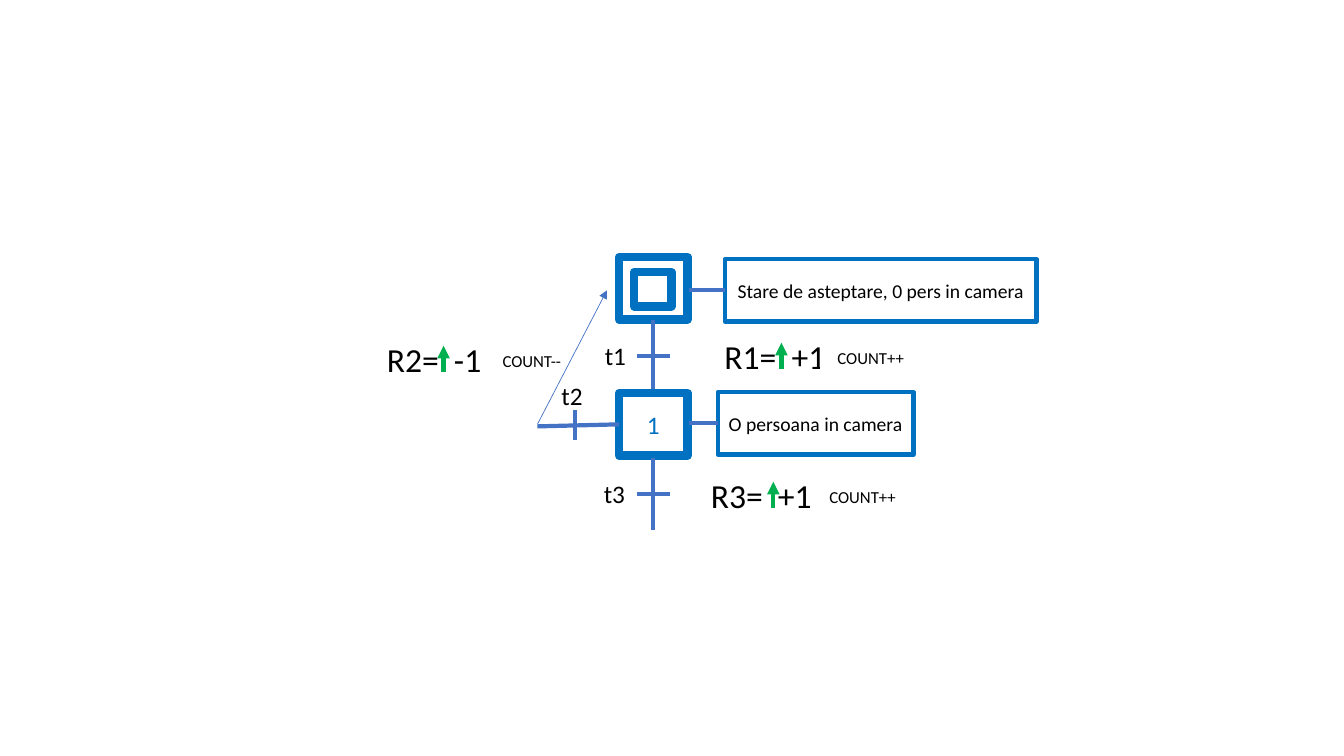
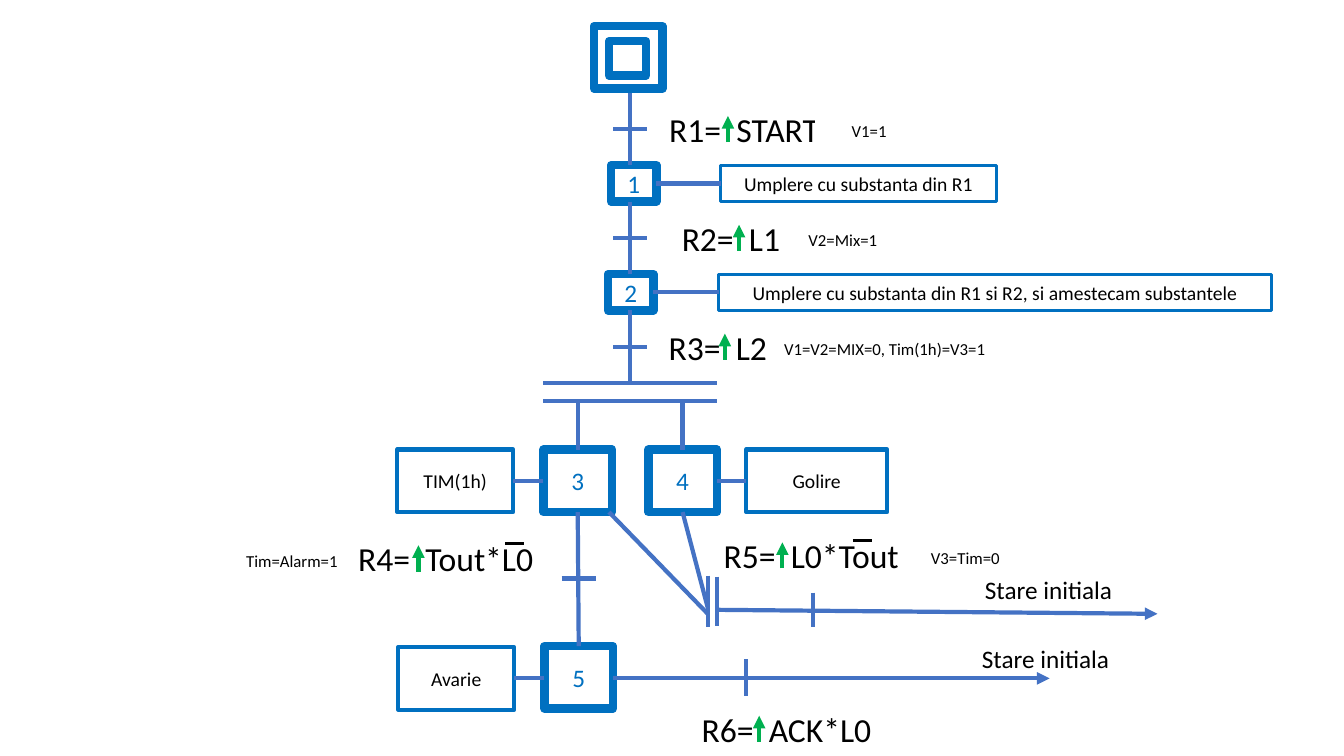
from dataclasses import dataclass
from typing import Any

from lxml import etree
from pptx import Presentation
from pptx.dml.color import RGBColor
from pptx.enum import shapes, text
from pptx.oxml import ns
from pptx.util import Inches, Pt

FONT = "Calibri"
BLUE, STEEL, GREEN, BLACK, WHITE = "0070C0", "4472C4", "00B050", "000000", "FFFFFF"
STEP_WIDTH, STEP_HEIGHT = 0.68, 0.62
STEM, TICK = 0.72, 0.33
GAP_SPACING = "540"


def color(value):
    """Turn a hex string into a colour."""
    return RGBColor.from_string(value)


def write(shape, parts, size=18, ink=BLACK, align=text.PP_ALIGN.CENTER,
          anchor=text.MSO_ANCHOR.MIDDLE, wrap=True):
    """Write one paragraph; several parts are joined by one widened space."""
    frame = shape.text_frame
    frame.word_wrap = wrap
    frame.vertical_anchor = anchor
    para = frame.paragraphs[0]
    para.alignment = align
    for index, part in enumerate(parts):
        if index:
            gap = add_span(para, " ", size, ink)
            gap._r.get_or_add_rPr().set("spc", GAP_SPACING)
        add_span(para, part, size, ink)


def add_span(para, words, size, ink):
    """Add one formatted run and return it."""
    span = para.add_run()
    span.text = words
    span.font.name = FONT
    span.font.size = Pt(size)
    span.font.color.rgb = color(ink)
    return span


@dataclass
class Region:
    """Part of a chart whose lengths are inches from its own corner."""
    page: Any
    left: float
    top: float

    def line(self, start, end, ink=STEEL, weight=3, arrow=False):
        """Draw a straight line, with an arrowhead at its end if asked."""
        (x1, y1), (x2, y2) = start, end
        link = self.page.shapes.add_connector(
            shapes.MSO_CONNECTOR.STRAIGHT,
            Inches(self.left + x1), Inches(self.top + y1),
            Inches(self.left + x2), Inches(self.top + y2))
        link.line.color.rgb = color(ink)
        link.line.width = Pt(weight)
        if arrow:
            head = etree.SubElement(link.line._get_or_add_ln(), ns.qn("a:tailEnd"))
            head.set("type", "triangle")
        etree.SubElement(link._element.spPr, ns.qn("a:effectLst"))

    def block(self, box, parts=(), edge=BLUE, weight=3, **style):
        """Draw a white rectangle with optional text."""
        x, y, width, height = box
        shape = self.page.shapes.add_shape(
            shapes.MSO_SHAPE.RECTANGLE, Inches(self.left + x),
            Inches(self.top + y), Inches(width), Inches(height))
        shape.shadow.inherit = False
        shape.fill.solid()
        shape.fill.fore_color.rgb = color(WHITE)
        shape.line.color.rgb = color(edge)
        shape.line.width = Pt(weight)
        write(shape, parts, **style)

    def label(self, x, y, words, width=0.41):
        """Place a plain text label."""
        box = self.page.shapes.add_textbox(
            Inches(self.left + x), Inches(self.top + y), Inches(width), Inches(0.4))
        write(box, [words], align=text.PP_ALIGN.LEFT,
              anchor=text.MSO_ANCHOR.TOP, wrap=False)

    def step(self, x, y, number, width=STEP_WIDTH, height=STEP_HEIGHT):
        """Draw a numbered step."""
        self.block((x, y, width, height), [number], weight=6, ink=BLUE)

    def initial_step(self):
        """Draw the double square of the initial step in the corner."""
        self.block((0, 0, STEP_WIDTH, STEP_HEIGHT), weight=6)
        self.block((0.15, 0.15, 0.37, 0.34), weight=6)

    def action(self, box, words, step_edge, weight=3):
        """Draw an action box and link its near side to the step edge."""
        x, y, width, height = box
        side = x if x > step_edge else x + width
        middle = y + height / 2
        self.block(box, [words], weight=weight, size=14)
        self.line((step_edge, middle), (side, middle))

    def stem(self, axis, y):
        """Draw a vertical link crossed by a transition tick."""
        middle = y + STEM / 2
        self.line((axis, y), (axis, y + STEM))
        self.line((axis - TICK / 2, middle), (axis + TICK / 2, middle))

    def condition(self, box, parts, arrow, note=None, bar=None):
        """Write a condition with its rising edge, note and negation bar."""
        x, y, width = box
        self.block((x, y, width, 0.4), parts, edge=WHITE, weight=1, size=24)
        self.line((x + arrow, y + 0.33), (x + arrow, y + 0.07), GREEN, arrow=True)
        if note:
            words, shift, note_width = note
            self.block((x + shift, y + 0.02, note_width, 0.4), [words],
                       edge=WHITE, weight=1, size=12)
        if bar:
            self.line((x + bar, y + 0.05), (x + bar + 0.19, y + 0.05), BLACK, 2.25)


def room_counter(page, left, top):
    """Draw the chart that counts the people in a room."""
    region = Region(page, left, top)
    region.initial_step()
    region.condition((0.67, 0.78, 1.75), ["R1=", "+1"], 0.94, ("COUNT++", 1.33, 0.99))
    region.condition((-2.54, 0.81, 1.41), ["R2=", "-1"], 0.8, ("COUNT--", 1.18, 0.99))
    region.condition((0.5, 2.16, 1.82), ["R3=", "+1"], 1.03, ("COUNT++", 1.42, 0.99))
    region.stem(0.34, 0.62)
    region.step(0, 1.35, "1")
    region.stem(0.34, 1.99)
    region.action((1.05, 0.02, 3.09, STEP_HEIGHT),
                  "Stare de asteptare, 0 pers in camera", 0.69)
    region.action((0.98, 1.34, 1.94, STEP_HEIGHT), "O persoana in camera", 0.69)
    region.label(-0.24, 0.78, "t1")
    region.label(-0.67, 1.17, "t2")
    region.label(-0.25, 2.15, "t3")
    region.line((0, 1.66), (-0.81, 1.68))
    region.line((-0.44, 1.52), (-0.44, 1.82))
    region.line((-0.81, 1.66), (-0.12, 0.33), weight=0.5, arrow=True)


def filling(page, left, top):
    """Draw the sequence from the initial step to the end of mixing."""
    region = Region(page, left, top)
    region.initial_step()
    pitch, width, height = 1.08, 0.45, 0.36
    conditions = [
        (0.53, 1.92, ["R1=", "START"], 0.8, ("V1=1", 1.67, 1.06)),
        (0.66, 1.4, ["R2=", "L1"], 0.78, ("V2=Mix=1", 1.26, 1.1)),
        (0.53, 1.4, ["R3=", "L2"], 0.77, ("V1=V2=MIX=0, Tim(1h)=V3=1", 1.25, 2.21)),
    ]
    steps = [
        (0.17, 1.26, 2.73, "Umplere cu substanta din R1"),
        (0.14, 1.24, 5.48, "Umplere cu substanta din R1 si R2, si amestecam substantele"),
    ]
    for index, (x, span, parts, arrow, note) in enumerate(conditions):
        region.condition((x, 0.82 + index * pitch, span), parts, arrow, note)
    for index, (x, action_x, span, words) in enumerate(steps):
        y = 1.38 + index * pitch
        region.step(x, y, str(index + 1), width, height)
        region.action((action_x, y, span, height), words, x + width, 2.25)
    for index in range(len(conditions)):
        region.stem(0.36, 0.66 + index * pitch)


def parallel_steps(page, left, top):
    """Draw the double bar with the two steps that run together."""
    region = Region(page, left, top)
    step_top, fork, shift = 0.66, 0.18, 1.04
    for y in (0, fork):
        region.line((0, y), (1.72, y))
    for index, number in enumerate("34"):
        x = index * shift
        region.step(x, step_top, number)
        axis = x + STEP_WIDTH / 2
        region.line((axis, fork), (axis, step_top))
    region.action((-1.45, step_top, 1.15, STEP_HEIGHT), "TIM(1h)", 0)
    region.action((2.01, step_top, 1.4, STEP_HEIGHT), "Golire", shift + STEP_WIDTH)


def merge(page, left, top):
    """Draw the joined branches that return to the initial state."""
    region = Region(page, left, top)
    region.condition((0.22, 0.23, 2.11), ["R5=", "L0*Tout"], 0.77,
                     ("V3=Tim=0", 1.92, 1.33), bar=1.47)
    region.line((0, 0), (0.25, 0.95))
    region.line((-0.73, 0), (0.25, 1.01))
    for x, start, end in ((0.25, 0.63, 1.14), (0.34, 0.64, 1.13), (1.29, 0.8, 1.14)):
        region.line((x, start), (x, end))
    region.line((0.36, 0.97), (4.71, 1.01), arrow=True)
    region.label(2.9, 0.57, "Stare initiala", 1.48)


def alarm(page, left, top):
    """Draw the timeout branch with its fault step and reset."""
    region = Region(page, left, top)
    region.condition((-2.11, 0.26, 2.26), ["R4=", "Tout*L0"], 0.86,
                     ("Tim=Alarm=1", -0.99, 1.19), bar=1.72)
    region.step(0, 1.33, "5")
    region.line((0.33, 0), (0.34, 1.33))
    region.line((0.17, 0.66), (0.51, 0.66))
    region.action((-1.45, 1.34, 1.15, STEP_HEIGHT), "Avarie", 0)
    region.line((STEP_WIDTH, 1.65), (5.01, 1.65), arrow=True)
    region.line((2, 1.46), (2, 1.82))
    region.condition((1.22, 1.95, 2.36), ["R6=", "ACK*L0"], 0.91)
    region.label(4.24, 1.25, "Stare initiala", 1.48)


def main():
    """Build both pages and save the deck."""
    deck = Presentation()
    deck.slide_width, deck.slide_height = Inches(13.33), Inches(7.5)
    blank = deck.slide_layouts[6]
    room_counter(deck.slides.add_slide(blank), 6.14, 2.55)
    mixer = deck.slides.add_slide(blank)
    filling(mixer, 5.89, 0.26)
    parallel_steps(mixer, 5.39, 3.8)
    merge(mixer, 6.77, 5.08)
    alarm(mixer, 5.4, 5.08)
    deck.save("out.pptx")


main()
